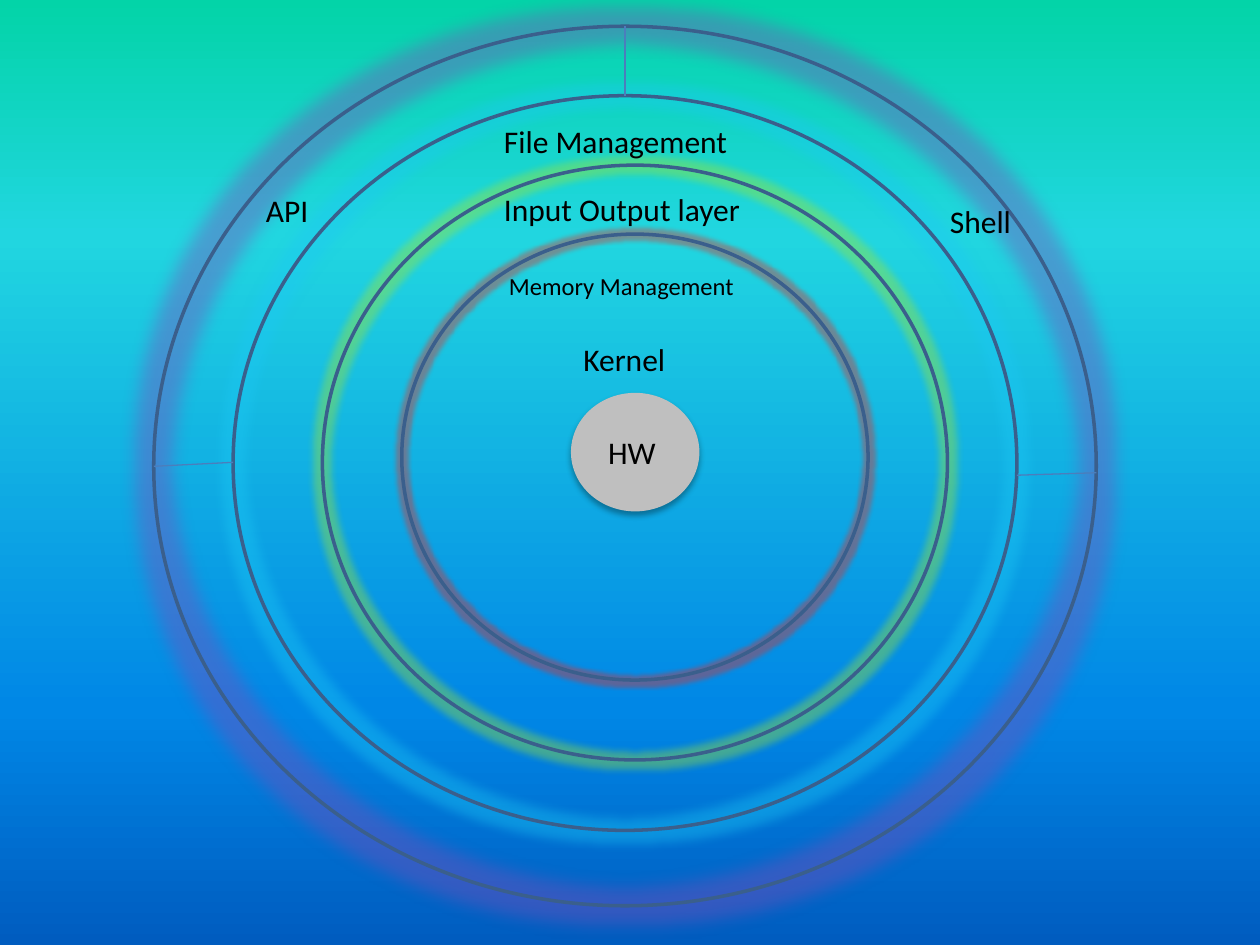
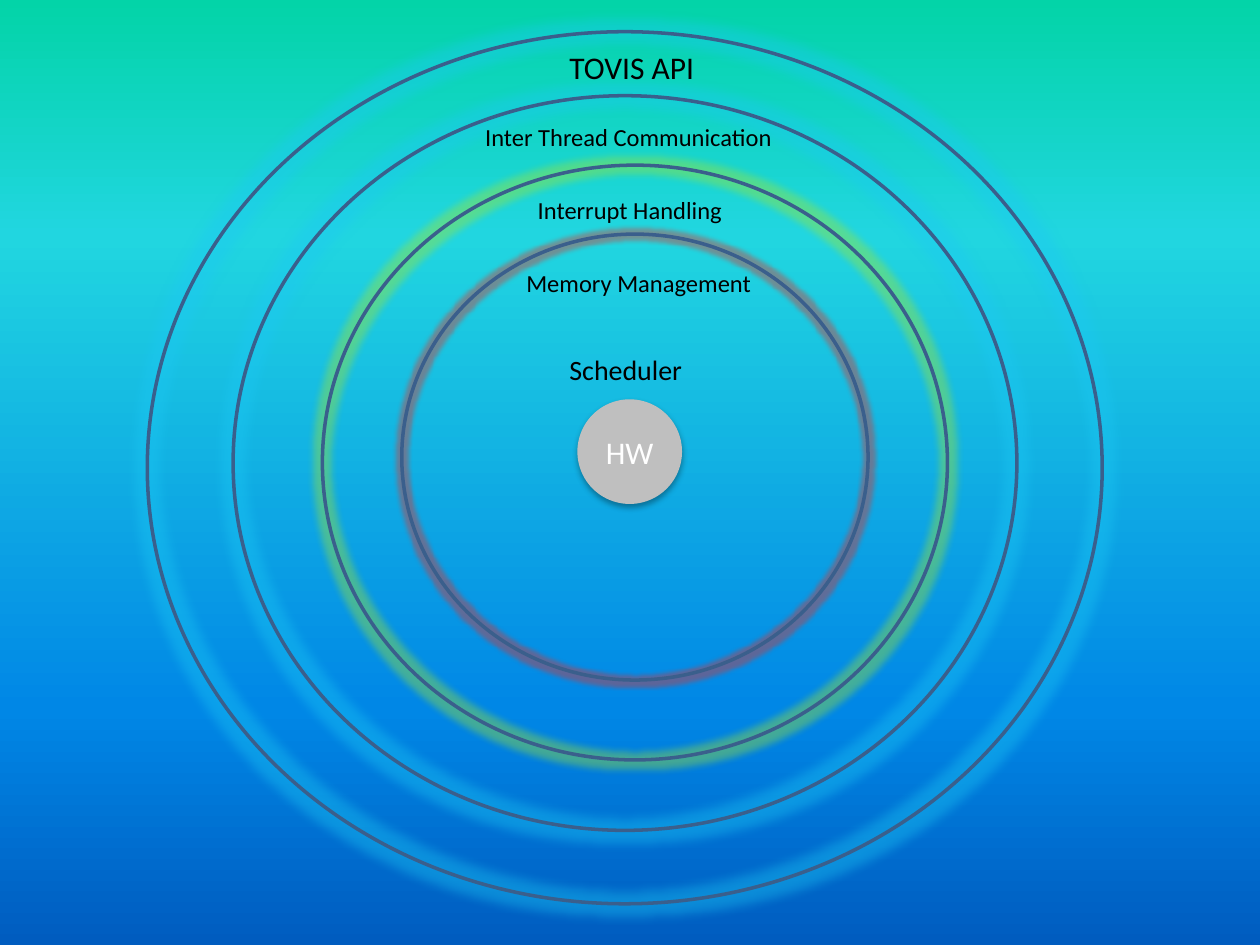
"""Build two slides of concentric operating system layers around the hardware."""
from lxml import etree
from pptx import Presentation
from pptx.dml.color import RGBColor
from pptx.enum.shapes import MSO_CONNECTOR as Connector, MSO_SHAPE as Shape
from pptx.enum.text import MSO_ANCHOR as Anchor, MSO_AUTO_SIZE as AutoSize, PP_ALIGN as Align
from pptx.oxml import parse_xml
from pptx.oxml.ns import nsdecls, qn
from pptx.util import Cm, Pt

BLACK = RGBColor(0x00, 0x00, 0x00)
WHITE = RGBColor(0xFF, 0xFF, 0xFF)
GREY = RGBColor(0xBF, 0xBF, 0xBF)
RING_BLUE = RGBColor(0x3A, 0x5F, 0x8C)
DIVIDER_BLUE = RGBColor(0x4B, 0x7E, 0xBC)
RED_GLOW = RGBColor(0xE3, 0x2D, 0x28)
GREEN_GLOW = RGBColor(0xA5, 0xE5, 0x2A)
CYAN_GLOW = RGBColor(0x1C, 0xC8, 0xF4)
PURPLE_GLOW = RGBColor(0x80, 0x4C, 0xBA)
BACKDROP = [
    (0, RGBColor(0x03, 0xD4, 0xA8)),
    (25, RGBColor(0x21, 0xD6, 0xE0)),
    (75, RGBColor(0x00, 0x87, 0xE6)),
    (100, RGBColor(0x00, 0x5C, 0xBF)),
]
FONT = "Calibri"
LABEL_HEIGHTS = {18: 1.02, 16: 0.94, 14: 0.86}

SHARED_RINGS = [
    (8.1, 4.72, 9.4, 8.99, RED_GLOW, 5),
    (6.5, 3.33, 12.6, 11.99, GREEN_GLOW, 8),
    (4.7, 1.93, 15.8, 14.81, CYAN_GLOW, 11),
]
SLIDES = [
    {
        "outer_ring": (3.1, 0.53, 19, 17.73, PURPLE_GLOW, 18),
        "hardware": (11.51, 7.92, 2.59, 2.39),
        "hardware_label": None,
        "labels": [
            ("Kernel", 11.51, 6.73, 2.18, 18),
            ("HW", 12.01, 8.61, 1.47, 18),
            ("Memory Management", 10.01, 5.33, 5.08, 14),
            ("Input Output layer", 9.91, 3.71, 5.33, 18),
            ("File Management", 9.91, 2.34, 5.05, 18),
            ("Shell", 18.9, 3.94, 1.75, 18),
            ("API", 5.11, 3.73, 1.37, 18),
        ],
        "dividers": [
            (12.6, 0.53, 12.6, 1.93),
            (3.1, 9.4, 4.7, 9.32),
            (20.5, 9.58, 22.1, 9.53),
        ],
    },
    {
        "outer_ring": (2.97, 0.64, 19.25, 17.58, CYAN_GLOW, 11),
        "hardware": (11.64, 8.05, 2.11, 2.11),
        "hardware_label": "HW",
        "labels": [
            ("Scheduler", 11.23, 6.99, 2.97, 16),
            ("Memory Management", 10.36, 5.28, 5.08, 14),
            ("Interrupt Handling", 10.59, 3.81, 4.27, 14),
            ("Inter Thread Communication", 9.53, 2.34, 6.35, 14),
            ("TOVIS API", 11.23, 0.84, 3.15, 18),
        ],
        "dividers": [],
    },
]


def add_effect(shape, tag, color, alpha, **settings):
    effects = shape.element.spPr.find(qn("a:effectLst"))
    effect = etree.SubElement(effects, qn(tag))
    for name, value in settings.items():
        effect.set(name, str(value))
    tint = etree.SubElement(effect, qn("a:srgbClr"), val=str(color))
    etree.SubElement(tint, qn("a:alpha"), val=str(alpha * 1000))


def write(para, text, size, color):
    span = para.add_run()
    span.text = text
    span.font.name = FONT
    span.font.size = Pt(size)
    span.font.color.rgb = color


deck = Presentation()
deck.slide_width = Cm(25.4)
deck.slide_height = Cm(19.05)

for content in SLIDES:
    page = deck.slides.add_slide(deck.slide_layouts[6])
    backdrop = page.background.fill
    backdrop.gradient()
    backdrop.gradient_angle = 270
    stops = page.element.find(".//" + qn("a:gsLst"))
    for stop in list(stops):
        stops.remove(stop)
    for position, color in BACKDROP:
        stops.append(parse_xml(
            f'<a:gs {nsdecls("a")} pos="{position * 1000}"><a:srgbClr val="{color}"/></a:gs>'
        ))

    for left, top, width, height, glow, radius in SHARED_RINGS + [content["outer_ring"]]:
        ring = page.shapes.add_shape(Shape.OVAL, Cm(left), Cm(top), Cm(width), Cm(height))
        ring.fill.background()
        ring.line.color.rgb = RING_BLUE
        ring.line.width = Pt(2)
        ring.shadow.inherit = False
        add_effect(ring, "a:glow", glow, 40, rad=Pt(radius))

    hardware = page.shapes.add_shape(Shape.OVAL, *map(Cm, content["hardware"]))
    hardware.fill.solid()
    hardware.fill.fore_color.rgb = GREY
    hardware.line.fill.background()
    hardware.shadow.inherit = False
    add_effect(hardware, "a:outerShdw", BLACK, 32, blurRad=Pt(3.5), dist=Pt(2.2),
               dir=90 * 60000, rotWithShape=0)
    if content["hardware_label"]:
        hardware.text_frame.vertical_anchor = Anchor.MIDDLE
        para = hardware.text_frame.paragraphs[0]
        para.alignment = Align.CENTER
        write(para, content["hardware_label"], 18, WHITE)

    for text, left, top, width, size in content["labels"]:
        box = page.shapes.add_textbox(Cm(left), Cm(top), Cm(width), Cm(LABEL_HEIGHTS[size]))
        box.text_frame.word_wrap = False
        box.text_frame.auto_size = AutoSize.SHAPE_TO_FIT_TEXT
        write(box.text_frame.paragraphs[0], text, size, BLACK)

    for ends in content["dividers"]:
        divider = page.shapes.add_connector(Connector.STRAIGHT, *map(Cm, ends))
        divider.line.color.rgb = DIVIDER_BLUE
        divider.line.width = Pt(0.75)
        etree.SubElement(divider.element.spPr, qn("a:effectLst"))

deck.save("out.pptx")
